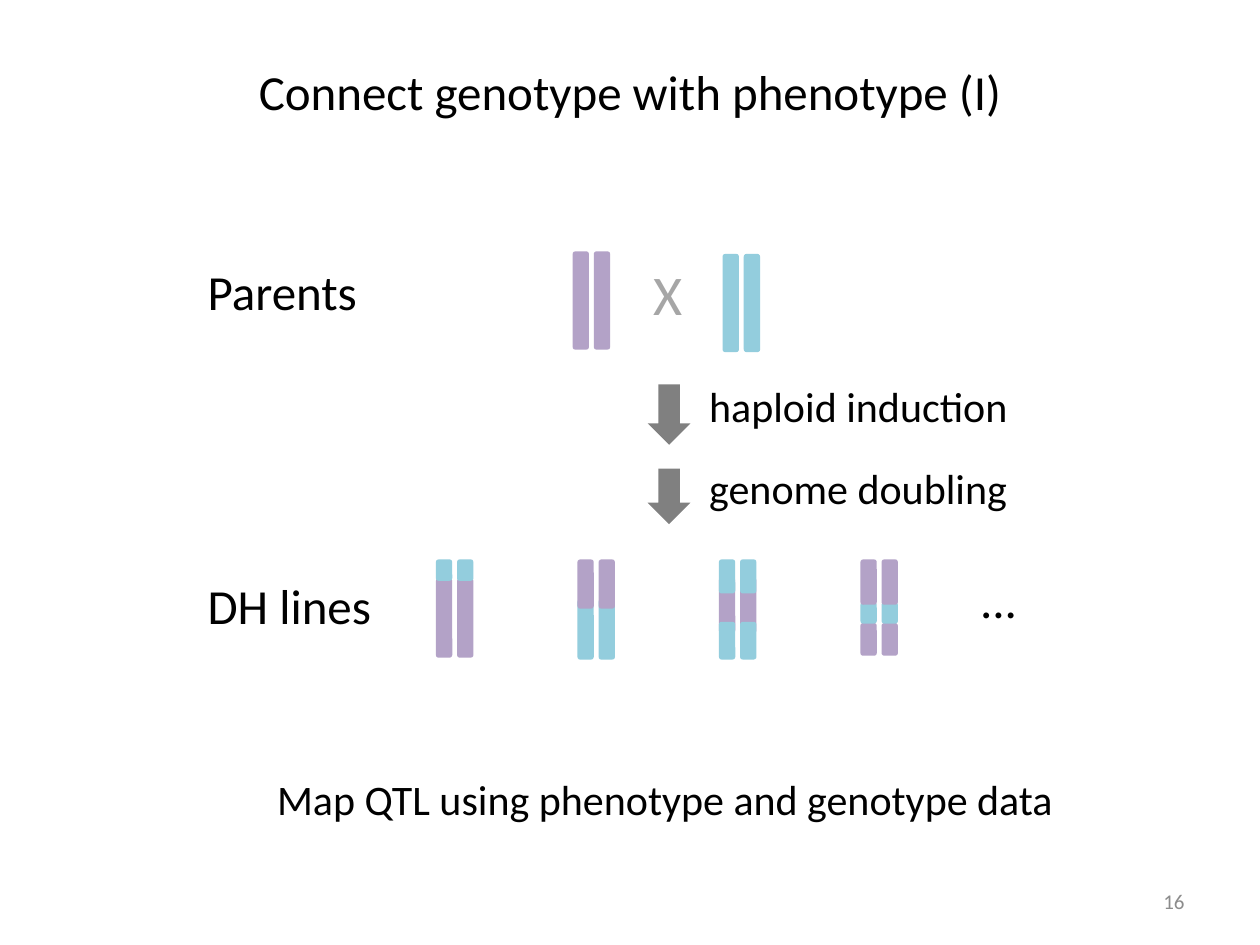
from collections import namedtuple

from pptx import Presentation
from pptx.dml.color import RGBColor
from pptx.enum.shapes import MSO_SHAPE as Shape
from pptx.enum.text import MSO_ANCHOR as Anchor, PP_ALIGN as Align
from pptx.util import Inches, Pt

COLUMNS, ROWS = 100, 75
CELL = Inches(0.1)
FONT = "Calibri"
BLACK, GRAY, SILVER, PAGE_GRAY = "000000", "808080", "A6A6A6", "8C8C8C"
PURPLE, BLUE = "B3A2C7", "93CDDD"
BAR_WIDTH, BAR_PITCH = 1.3, 1.68

Box = namedtuple("Box", "left top width height")


def color(value):
    return RGBColor.from_string(value)


def inside(box, left, top, width, height):
    return Box(box.left + left, box.top + top, width, height)


def cells(box):
    return [round(length * CELL) for length in box]


def add_text(page, box, lines, size, fill=BLACK, align=Align.LEFT,
             anchor=Anchor.TOP, wrap=False, leading=None, gap=0):
    frame = page.shapes.add_textbox(*cells(box)).text_frame
    frame.word_wrap = wrap
    frame.vertical_anchor = anchor
    for index, line in enumerate(lines):
        para = frame.add_paragraph() if index else frame.paragraphs[0]
        para.alignment = align
        if leading:
            para.line_spacing = leading
        if index:
            para.space_before = Pt(gap)
        span = para.add_run()
        span.text = line
        span.font.name = FONT
        span.font.size = Pt(size)
        span.font.color.rgb = color(fill)


def add_solid(shapes, kind, box, fill):
    shape = shapes.add_shape(kind, *cells(box))
    shape.shadow.inherit = False
    shape.fill.solid()
    shape.fill.fore_color.rgb = color(fill)
    shape.line.fill.background()


def add_chromosomes(page, box, segments):
    pair = page.shapes.add_group_shape()
    for bar in range(2):
        for top, height, fill in segments:
            segment = inside(box, bar * BAR_PITCH, top, BAR_WIDTH, height)
            add_solid(pair.shapes, Shape.ROUNDED_RECTANGLE, segment, fill)


def add_heading(page, box):
    add_text(page, box, ["Connect genotype with phenotype (I)"], 28,
             align=Align.CENTER, anchor=Anchor.MIDDLE, wrap=True)


def add_parents(page, box):
    add_text(page, inside(box, 0, 0.2, 14.2, 5.7), ["Parents"], 28)
    add_text(page, inside(box, 35.4, 0, 4.3, 6.4), ["X"], 32, SILVER)
    for left, top, fill in [(29.95, -0.15, PURPLE), (41.85, 0.05, BLUE)]:
        add_chromosomes(page, inside(box, left, top, 3, 7.8), [(0, 7.8, fill)])


def add_steps(page, box):
    for top, height in [(0, 4.8), (6.7, 4.4)]:
        add_solid(page.shapes, Shape.DOWN_ARROW,
                  inside(box, 0, top, 3.4, height), GRAY)
    add_text(page, inside(box, 3.9, 0, 32.8, 10.8),
             ["haploid induction", "genome doubling"], 24,
             wrap=True, leading=0.8, gap=23.4)


def add_lines(page, box):
    add_text(page, inside(box, 0, 0.8, 15.1, 5.7), ["DH lines"], 28)
    add_text(page, inside(box, 61.3, 0.3, 5, 5.7), ["..."], 28)
    lines = [
        [(1.5, 6.3, PURPLE), (0, 1.7, BLUE)],
        [(3.15, 4.8, BLUE), (0, 3.9, PURPLE)],
        [(1.45, 4.4, PURPLE), (0, 2.7, BLUE), (4.95, 3, BLUE)],
        [(5.05, 2.6, PURPLE), (3.4, 1.7, BLUE), (0, 3.6, PURPLE)],
    ]
    for index, segments in enumerate(lines):
        left = 19.1 + index * 11.23
        add_chromosomes(page, inside(box, left, 0, 3, 8), segments)


def add_closing(page, box):
    add_text(page, inside(box, 0, 0, 64.2, 5),
             ["Map QTL using phenotype and genotype data"], 24)
    add_text(page, inside(box, 50.7, 8.6, 23.3, 4), ["16"], 12, PAGE_GRAY,
             align=Align.RIGHT, anchor=Anchor.MIDDLE, wrap=True)


def main():
    deck = Presentation()
    deck.slide_width, deck.slide_height = COLUMNS * CELL, ROWS * CELL
    page = deck.slides.add_slide(deck.slide_layouts[6])
    add_heading(page, Box(5, 3, 90, 8.5))
    add_parents(page, Box(15.5, 20.1, 45, 7.8))
    add_steps(page, Box(51.4, 30.5, 36.7, 11.1))
    add_lines(page, Box(15.5, 44.4, 66.3, 8))
    add_closing(page, Box(21, 60.9, 74, 12.6))
    deck.save("out.pptx")


if __name__ == "__main__":
    main()
